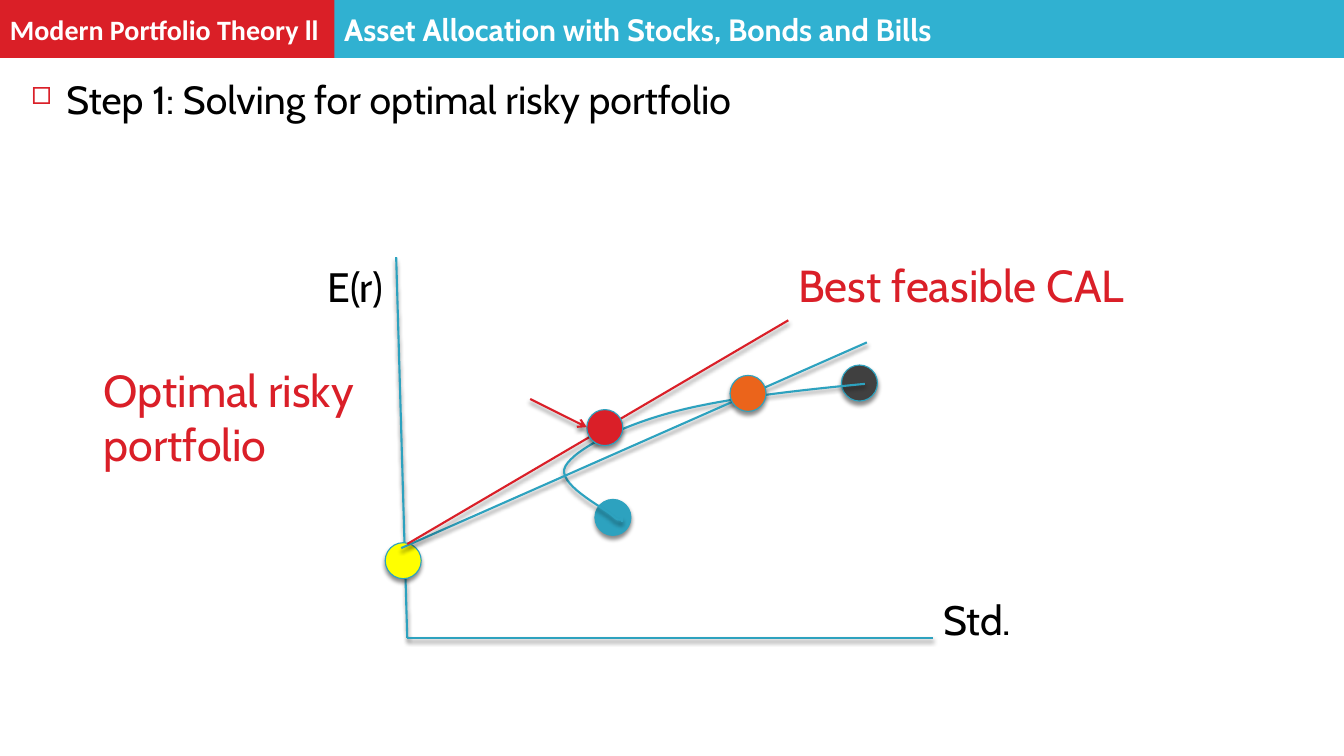
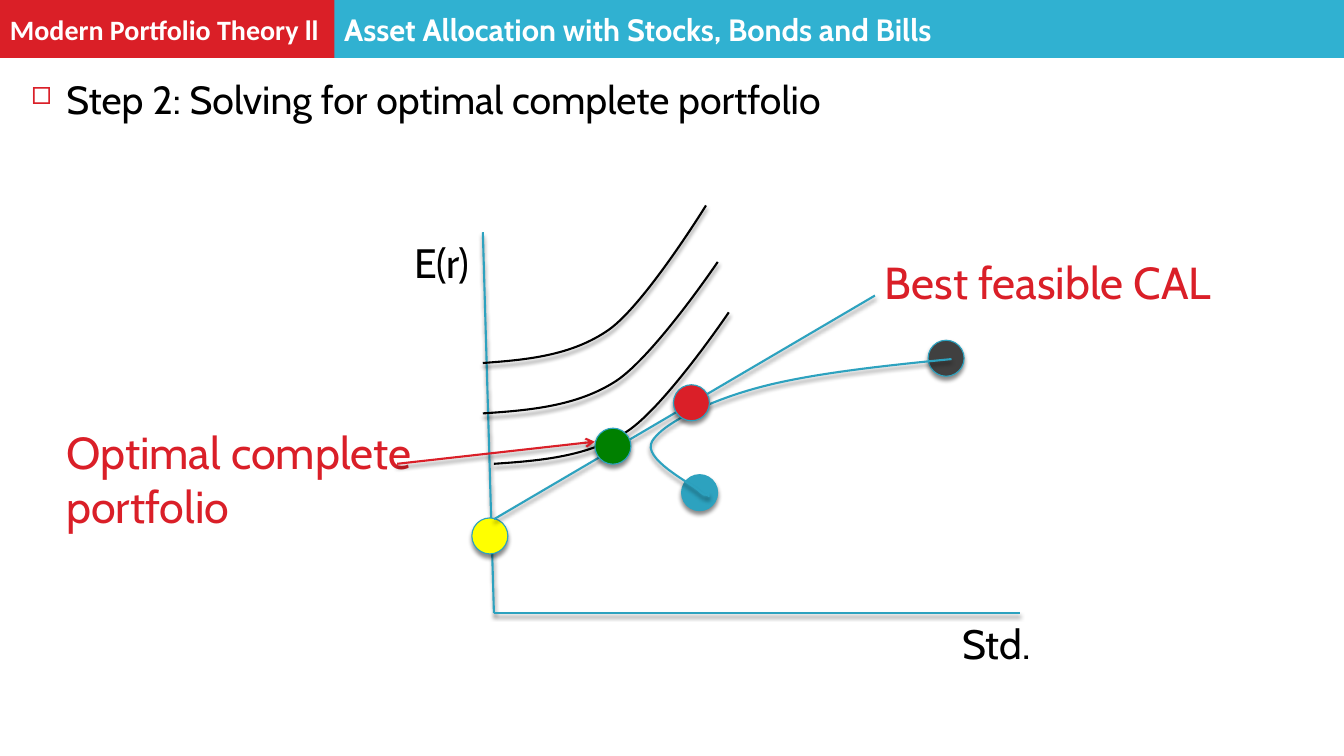
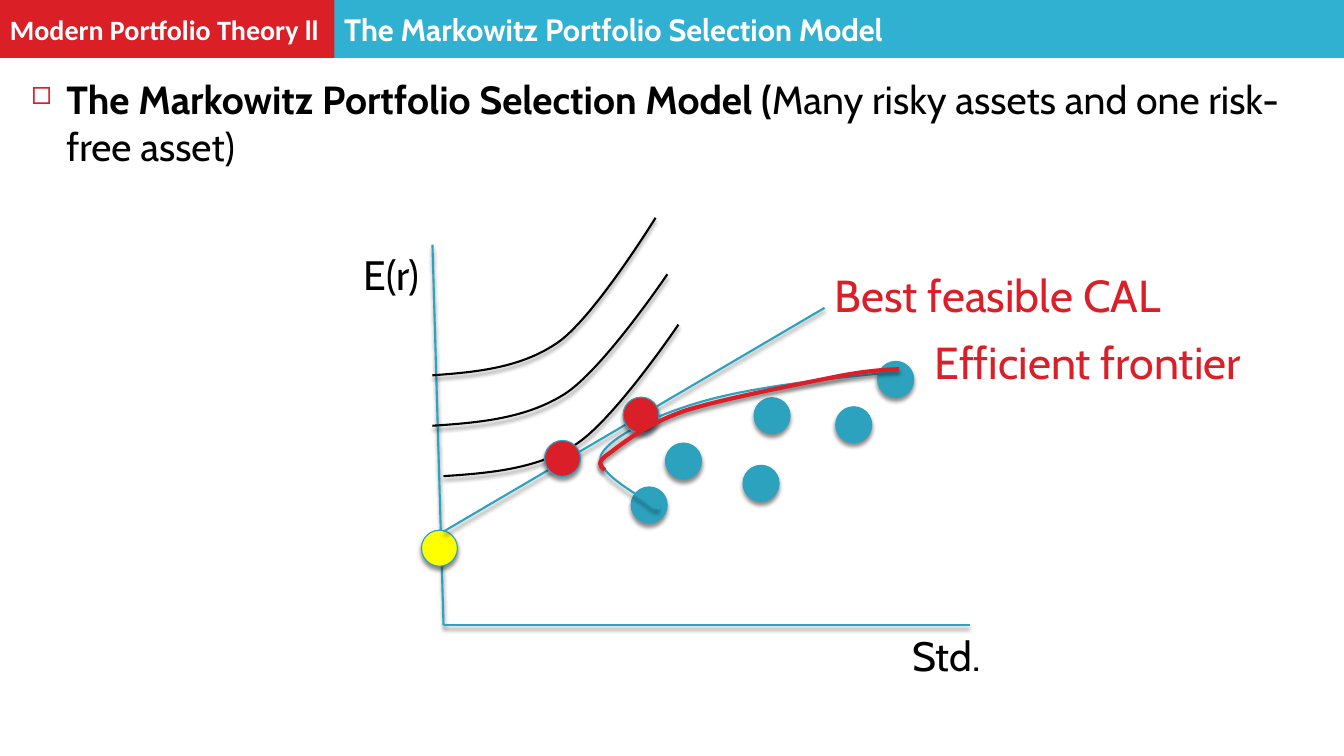
from dataclasses import dataclass
from typing import NamedTuple

import lxml.etree
import pptx
import pptx.dml.color
import pptx.enum.shapes
import pptx.enum.text
import pptx.oxml.ns
import pptx.util

Pt = pptx.util.Pt
qn = pptx.oxml.ns.qn
SHAPE = pptx.enum.shapes.MSO_SHAPE


@dataclass(frozen=True)
class Theme:
    red: str = "DA1F28"
    strip: str = "DA1F27"
    band: str = "30B1D1"
    teal: str = "2DA2BF"
    dark: str = "404040"
    gold: str = "FFFF00"
    orange: str = "EB641B"
    green: str = "008000"
    black: str = "000000"
    white: str = "FFFFFF"
    face: str = "Cabin"
    course_face: str = "Calibri"
    course: float = 20
    title: float = 22
    body: float = 28
    axis: float = 29.33
    label: float = 32
    thin: float = 0.79
    line: float = 1.5
    thick: float = 3


THEME = Theme()


class Point(NamedTuple):
    x: float
    y: float


class Level(NamedTuple):
    """Start and scale of one indifference curve."""
    start: Point
    wide: float = 1
    high: float = 1


class Part(NamedTuple):
    text: str
    bold: bool = False


# Chart geometry, measured from the corner of the axes
DOT = 25.7
CAL = (Point(0, -67), Point(272.2, -226.8))
LOW_CAL = (Point(-4.3, -64.1), Point(328.3, -211))
FREE = Point(-2.9, -55.1)
BOND = Point(146.9, -86)
STOCK = Point(323, -182)
BEST = Point(141.1, -150.2)
MIX = Point(85, -119.2)
OTHER = Point(243.4, -174.6)
ASSETS = [Point(171.4, -117.4), Point(234.7, -149.8), Point(226.8, -101.5),
          Point(293, -143.3), Point(323, -175.7)]

# Curves: a start, then three points for each Bezier piece
SET = [Point(326.9, -181.4),
       Point(275.4, -176.4), Point(223.9, -170.6), Point(188.2, -160.8),
       Point(152.6, -151.2), Point(119.9, -134.8), Point(113, -122.6),
       Point(105.8, -110.2), Point(139.7, -93.4), Point(146.2, -87.6),
       Point(152.6, -81.3), Point(153.4, -85.9), Point(153.4, -85.9)]
SET_TAIL = Point(153.4, -82.8)
EDGE = [Point(115.2, -110.9),
        Point(111.6, -113.8), Point(108.7, -116.6), Point(118.8, -123.1),
        Point(128.2, -130.3), Point(145.4, -144), Point(172.8, -153.4),
        Point(200.2, -162), Point(256.3, -172.8), Point(281.5, -177.8),
        Point(306.7, -182.9), Point(325.4, -182.9), Point(325.4, -182.9)]
TASTE = [Point(0, 0),
         Point(33.1, -2.2), Point(67, -5), Point(95, -23),
         Point(122.4, -41), Point(167.8, -108.2), Point(167.8, -108.2)]
LEVELS = [Level(Point(0, -106.6)), Level(Point(-7.9, -142.6)),
          Level(Point(-7.9, -178.6), 0.95, 1.04)]


def rgb(tone: str) -> pptx.dml.color.RGBColor:
    return pptx.dml.color.RGBColor.from_string(tone)


def style(run, size: float, tone: str, face: str = THEME.face, bold: bool = False) -> None:
    run.font.name, run.font.size, run.font.bold = face, Pt(size), bold
    run.font.color.rgb = rgb(tone)


def shade(shape) -> None:
    """Add the soft shadow that falls below each chart part."""
    effects = lxml.etree.SubElement(shape._element.spPr, qn("a:effectLst"))
    outer = lxml.etree.SubElement(effects, qn("a:outerShdw"), blurRad=str(Pt(3)),
                                  dist=str(Pt(2.4)), dir="5400000", rotWithShape="0")
    tone = lxml.etree.SubElement(outer, qn("a:srgbClr"), val=THEME.black)
    lxml.etree.SubElement(tone, qn("a:alpha"), val="45000")


def bullet(para) -> None:
    """Put a hollow square, a Wingdings symbol, before the paragraph."""
    props = para._p.get_or_add_pPr()
    props.set("marL", str(Pt(25.2)))
    props.set("indent", str(Pt(-25.2)))
    tone = lxml.etree.SubElement(props, qn("a:buClr"))
    lxml.etree.SubElement(tone, qn("a:srgbClr"), val=THEME.red)
    lxml.etree.SubElement(props, qn("a:buSzPct"), val="60000")
    lxml.etree.SubElement(props, qn("a:buFont"), typeface="Wingdings", charset="2")
    lxml.etree.SubElement(props, qn("a:buChar"), char="¨")


def text_box(shapes, left: int, top: int, width: float, height: float):
    box = shapes.add_textbox(left, top, Pt(width), Pt(height))
    box.text_frame.word_wrap = True
    box.text_frame.auto_size = pptx.enum.text.MSO_AUTO_SIZE.SHAPE_TO_FIT_TEXT
    return box.text_frame


# Page frame
def band(slide, left: float, width: float, fill: str, text: str, size: float, face: str) -> None:
    box = slide.shapes.add_shape(SHAPE.RECTANGLE, Pt(left), Pt(0), Pt(width), Pt(41.4))
    box.shadow.inherit = False
    box.fill.solid()
    box.fill.fore_color.rgb = rgb(fill)
    box.line.fill.background()
    frame = box.text_frame
    frame.text = text
    frame.vertical_anchor = pptx.enum.text.MSO_ANCHOR.MIDDLE
    frame.paragraphs[0].alignment = pptx.enum.text.PP_ALIGN.LEFT
    style(frame.paragraphs[0].runs[0], size, THEME.white, face, True)


def page(deck, title: str, parts: list[Part], height: float = 41):
    slide = deck.slides.add_slide(deck.slide_layouts[6])
    band(slide, 0, 309, THEME.strip, "Modern Portfolio Theory ll", THEME.course, THEME.course_face)
    band(slide, 238.8, 721.2, THEME.band, title, THEME.title, THEME.face)
    para = text_box(slide.shapes, Pt(15.1), Pt(50.5), 929.5, height).paragraphs[0]
    bullet(para)
    for part in parts:
        run = para.add_run()
        run.text = part.text
        style(run, THEME.body, THEME.black, bold=part.bold)
    return slide


class Chart:
    """Draws on a slide with the corner of the axes as zero."""

    def __init__(self, slide, zero: Point, std: Point) -> None:
        self.shapes = slide.shapes
        self.zero = zero
        self.line(Point(-7.9, -272), Point(0, 0))
        self.line(Point(0, 0), Point(375.8, 0))
        self.label("E(r)", Point(-64.1, -272.2), 72, THEME.axis, THEME.black)
        self.label("Std.", std, 72, THEME.axis, THEME.black)

    def place(self, spot: Point) -> tuple[int, int]:
        return Pt(self.zero.x + spot.x), Pt(self.zero.y + spot.y)

    def line(self, start: Point, end: Point, tone: str = THEME.teal, arrow: bool = False) -> None:
        line = self.shapes.add_connector(pptx.enum.shapes.MSO_CONNECTOR.STRAIGHT,
                                         *self.place(start), *self.place(end))
        line.line.color.rgb = rgb(tone)
        line.line.width = Pt(THEME.line)
        if arrow:
            lxml.etree.SubElement(line._element.spPr.find(qn("a:ln")),
                                  qn("a:tailEnd"), type="arrow")
        shade(line)

    def dot(self, spot: Point, fill: str) -> None:
        corner = Point(spot.x - DOT / 2, spot.y - DOT / 2)
        dot = self.shapes.add_shape(SHAPE.OVAL, *self.place(corner), Pt(DOT), Pt(DOT))
        dot.fill.solid()
        dot.fill.fore_color.rgb = rgb(fill)
        dot.line.color.rgb = rgb(THEME.teal)
        dot.line.width = Pt(THEME.thin)
        shade(dot)

    def curve(self, chain: list[Point], tone: str, width: float = THEME.line,
              tail: Point | None = None) -> None:
        ends = chain[3::3] + ([tail] if tail else [])
        pen = self.shapes.build_freeform(*self.place(chain[0]), scale=1.0)
        pen.add_line_segments([self.place(end) for end in ends], close=False)
        curve = pen.convert_to_shape()
        # Turn each straight piece but the tail into a Bezier piece
        pieces = list(curve._element.iter(qn("a:lnTo")))
        for piece, first in zip(pieces, range(1, len(chain), 3)):
            piece.tag = qn("a:cubicBezTo")
            for index, spot in enumerate(chain[first:first + 2]):
                x, y = self.place(spot)
                knot = lxml.etree.Element(qn("a:pt"), x=str(x - curve.left), y=str(y - curve.top))
                piece.insert(index, knot)
        curve.fill.background()
        curve.line.color.rgb = rgb(tone)
        curve.line.width = Pt(width)
        shade(curve)

    def tastes(self) -> None:
        for level in LEVELS:
            self.curve([Point(level.start.x + p.x * level.wide, level.start.y + p.y * level.high)
                        for p in TASTE], THEME.black)

    def label(self, text: str, spot: Point, width: float, size: float = THEME.label,
              tone: str = THEME.red, height: float = 46) -> None:
        frame = text_box(self.shapes, *self.place(spot), width, height)
        frame.text = text
        style(frame.paragraphs[0].runs[0], size, tone)


def main() -> None:
    deck = pptx.Presentation()
    deck.slide_width, deck.slide_height = Pt(960), Pt(540)
    title = "Asset Allocation with Stocks, Bonds and Bills"
    model = "The Markowitz Portfolio Selection Model"
    best = "Best feasible CAL"

    # Step 1: optimal risky portfolio
    slide = page(deck, title, [Part("Step 1: Solving for optimal risky portfolio")])
    chart = Chart(slide, Point(290.9, 455.6), Point(375.8, -34.9))
    chart.dot(BOND, THEME.teal)
    chart.dot(STOCK, THEME.dark)
    chart.curve(SET, THEME.teal, tail=SET_TAIL)
    chart.dot(FREE, THEME.gold)
    chart.line(*LOW_CAL)
    chart.line(*CAL, THEME.red)
    chart.dot(BEST, THEME.red)
    chart.dot(OTHER, THEME.orange)
    chart.label(best, Point(272.2, -274.9), 328.3)
    chart.label("Optimal risky portfolio", Point(-223.9, -200.2), 311.8)
    chart.line(Point(87.8, -170.6), Point(128.2, -150.5), THEME.red, True)

    # Step 2: optimal complete portfolio
    slide = page(deck, title, [Part("Step 2: Solving for optimal complete portfolio")])
    chart = Chart(slide, Point(352.8, 437.9), Point(327.6, 0))
    chart.dot(BOND, THEME.teal)
    chart.dot(STOCK, THEME.dark)
    chart.curve(SET, THEME.teal, tail=SET_TAIL)
    chart.dot(FREE, THEME.gold)
    chart.line(*CAL)
    chart.dot(BEST, THEME.red)
    chart.tastes()
    chart.dot(MIX, THEME.green)
    chart.label(best, Point(272.2, -259.2), 272.2)
    chart.label("Optimal complete portfolio", Point(-312.5, -138.2), 288, height=85)
    chart.line(Point(-69.1, -106.6), Point(72, -122.4), THEME.red, True)

    # Many risky assets
    slide = page(deck, model, [Part(model + " (", True),
                               Part("Many risky assets and one risk-free asset)")], 116)
    chart = Chart(slide, Point(316.8, 446.7), Point(328, 0))
    chart.dot(BOND, THEME.teal)
    chart.curve(SET, THEME.teal, tail=SET_TAIL)
    chart.dot(FREE, THEME.gold)
    chart.line(*CAL)
    chart.dot(BEST, THEME.red)
    chart.tastes()
    chart.dot(MIX, THEME.red)
    chart.label(best, Point(272.2, -259.2), 272.2)
    for asset in ASSETS:
        chart.dot(asset, THEME.teal)
    chart.label("Efficient frontier", Point(343.9, -210.9), 247.7)
    chart.curve(EDGE, THEME.red, THEME.thick)

    deck.save("out.pptx")


if __name__ == "__main__":
    main()
